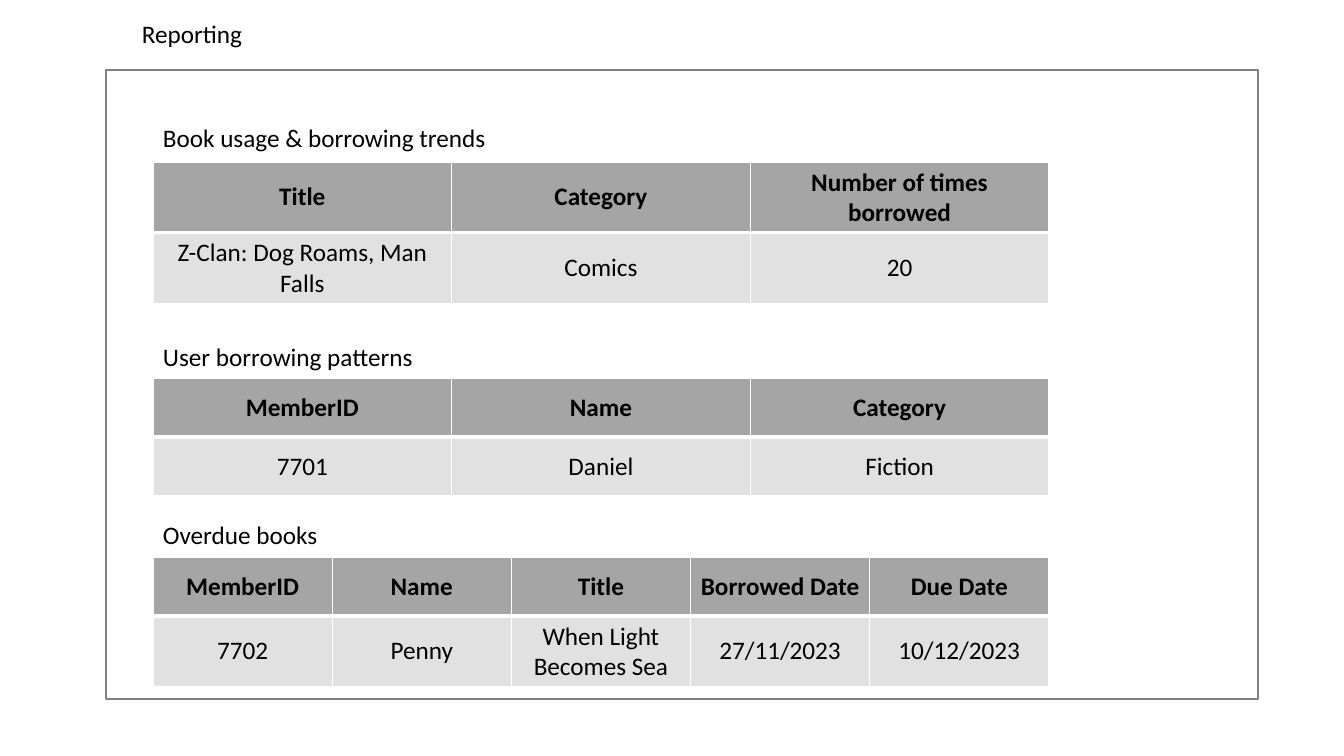
from lxml.etree import SubElement
from pptx import Presentation
from pptx.dml.color import RGBColor
from pptx.enum.shapes import MSO_SHAPE as SHAPE
from pptx.enum.text import MSO_ANCHOR as ANCHOR, MSO_AUTO_SIZE as AUTO, PP_ALIGN as ALIGN
from pptx.oxml.ns import qn
from pptx.util import Pt

EMU_PER_PX = 914400 / 100.8
BLACK, WHITE, GREY = "000000", "FFFFFF", "808080"
HEADER_FILL, BODY_FILL = "A5A5A5", "E1E1E1"
LEFT, TABLE_W = 153, 896


def px(n):
    return round(n * EMU_PER_PX)


def color(hex_str):
    return RGBColor.from_string(hex_str)


def set_font(p, bold=False):
    p.font.name = "Calibri"
    p.font.size = Pt(18)
    p.font.bold = bold
    p.font.color.rgb = color(BLACK)


def add_panel(slide, x, y, w, h):
    sp = slide.shapes.add_shape(SHAPE.RECTANGLE, px(x), px(y), px(w), px(h))
    sp.shadow.inherit = False
    sp.fill.solid()
    sp.fill.fore_color.rgb = color(WHITE)
    sp.line.color.rgb = color(GREY)
    sp.line.width = Pt(1)


def add_label(slide, text, x, y, w):
    tf = slide.shapes.add_textbox(px(x), px(y), px(w), px(40)).text_frame
    tf.word_wrap = True
    tf.auto_size = AUTO.SHAPE_TO_FIT_TEXT
    p = tf.paragraphs[0]
    p.text = text
    set_font(p)


def add_border(cell, side, width):
    ln = SubElement(cell._tc.get_or_add_tcPr(), qn(f"a:ln{side}"), w=str(Pt(width)))
    fill = SubElement(ln, qn("a:solidFill"))
    SubElement(fill, qn("a:srgbClr"), val=WHITE)


def style_cell(cell, text, header):
    # Borders must come before the fill; the line under the header is thick
    thick = "B" if header else "T"
    for side in "LRTB":
        add_border(cell, side, 3 if side == thick else 1)
    cell.fill.solid()
    cell.fill.fore_color.rgb = color(HEADER_FILL if header else BODY_FILL)
    cell.vertical_anchor = ANCHOR.MIDDLE
    p = cell.text_frame.paragraphs[0]
    p.text = text
    p.alignment = ALIGN.CENTER
    set_font(p, bold=header)


def add_report_table(slide, y, row_h, rows):
    n_cols = len(rows[0])
    table = slide.shapes.add_table(len(rows), n_cols, px(LEFT), px(y),
                                   px(TABLE_W), px(row_h * len(rows))).table
    for col in table.columns:
        col.width = px(TABLE_W / n_cols)
    for i, row in enumerate(rows):
        table.rows[i].height = px(row_h)
        for j, text in enumerate(row):
            style_cell(table.cell(i, j), text, header=i == 0)


def main():
    prs = Presentation()
    prs.slide_width, prs.slide_height = px(1344), px(756)
    slide = prs.slides.add_slide(prs.slide_layouts[6])

    # Page frame and heading
    add_panel(slide, 106, 70, 1152, 629)
    add_label(slide, "Reporting", 132, 13, 401)

    # Reports: label, label top, label width, table top, row height, rows
    reports = [
        ("Book usage & borrowing trends", 117, 391, 162, 62,
         [("Title", "Category", "Number of times borrowed"),
          ("Z-Clan: Dog Roams, Man Falls", "Comics", "20")]),
        ("User borrowing patterns", 336, 350, 378, 59,
         [("MemberID", "Name", "Category"),
          ("7701", "Daniel", "Fiction")]),
        ("Overdue books", 514, 265, 557, 59,
         [("MemberID", "Name", "Title", "Borrowed Date", "Due Date"),
          ("7702", "Penny", "When Light Becomes Sea", "27/11/2023", "10/12/2023")]),
    ]
    for label, label_y, label_w, table_y, row_h, rows in reports:
        add_label(slide, label, LEFT, label_y, label_w)
        add_report_table(slide, table_y, row_h, rows)

    prs.save("out.pptx")


main()
